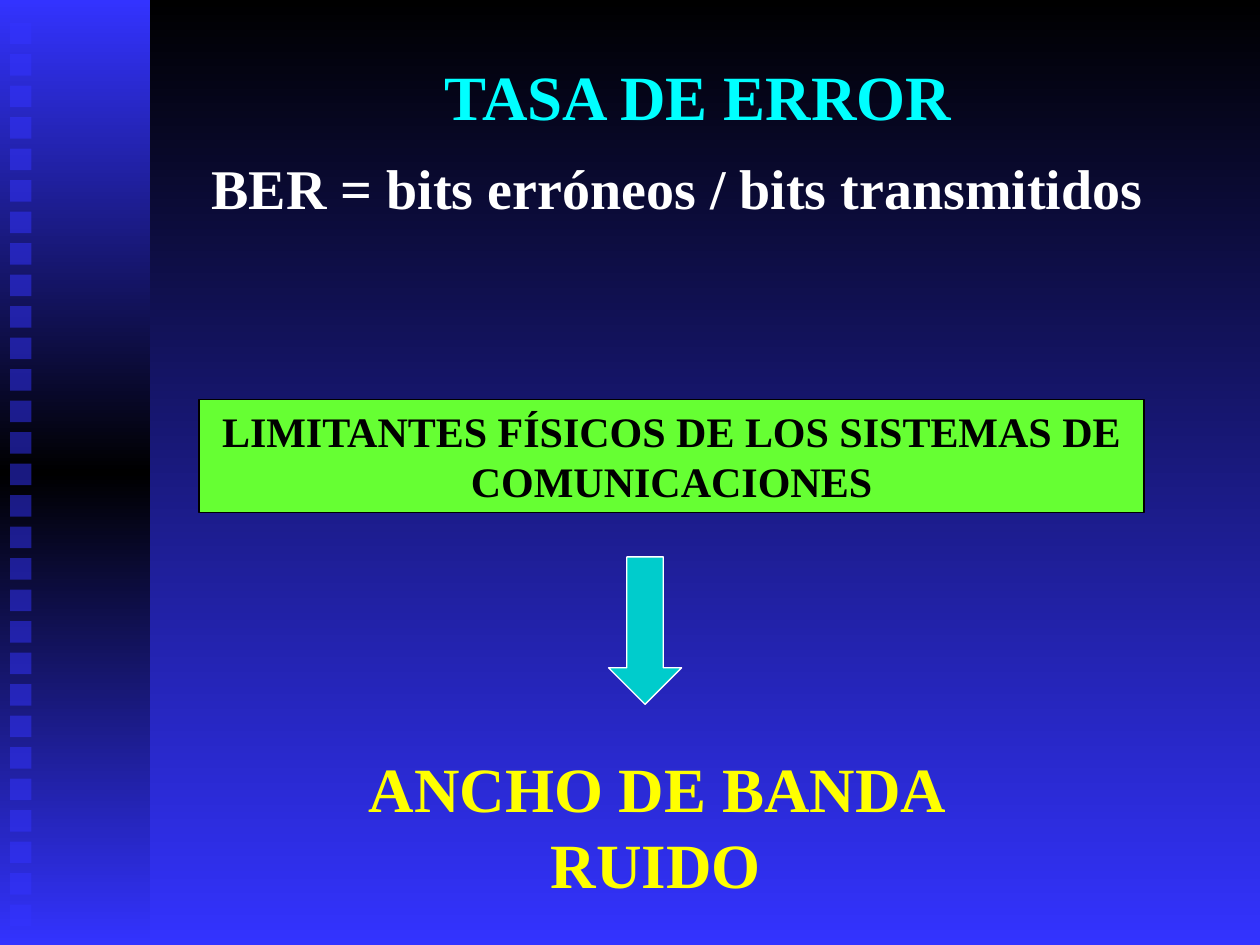
from copy import deepcopy

from lxml.etree import SubElement
from pptx import Presentation
from pptx.dml.color import RGBColor
from pptx.enum.shapes import MSO_SHAPE
from pptx.enum.text import MSO_ANCHOR, MSO_AUTO_SIZE, PP_ALIGN
from pptx.oxml.ns import qn
from pptx.util import Inches, Pt

FONT = "Times New Roman"
BLUE, BLACK, WHITE = "3333FF", "000000", "FFFFFF"
TITLE = ("TASA DE ERROR", 36, "00FFFF", 0)
FORMULA = ("BER = bits erróneos / bits transmitidos", 32, WHITE, 20)
LIMITS = ("LIMITANTES FÍSICOS DE LOS SISTEMAS DE COMUNICACIONES", 24, BLACK, 15)
CAUSES = ("ANCHO DE BANDA RUIDO", 36, "FFFF00", 22.5)
TILE_COUNT, TILE_TOP, TILE_PITCH, TILE_SIZE = 29, 0.18, 0.25, 0.17


def color(value):
    return RGBColor.from_string(value)


def place(shape, left, top, width, height):
    shape.left, shape.top = Inches(left), Inches(top)
    shape.width, shape.height = Inches(width), Inches(height)


def write(shape, content, align=PP_ALIGN.CENTER, anchor=MSO_ANCHOR.TOP):
    text, size, text_color, before = content
    frame = shape.text_frame
    frame.text = text
    frame.word_wrap = True
    frame.auto_size = MSO_AUTO_SIZE.NONE
    frame.vertical_anchor = anchor
    para = frame.paragraphs[0]
    para.alignment = align
    para.space_before = Pt(before)
    font = para.runs[0].font
    font.name, font.size, font.bold = FONT, Pt(size), True
    font.color.rgb = color(text_color)


def add_block(slide, kind, box, fill=None, line=None):
    shape = slide.shapes.add_shape(kind, *map(Inches, box))
    shape.shadow.inherit = False
    if fill:
        shape.fill.solid()
        shape.fill.fore_color.rgb = color(fill)
    if line:
        shape.line.color.rgb = color(line)
        shape.line.width = Pt(0.75)
    else:
        shape.line.fill.background()
    return shape


def shade(fill, start, end):
    fill.gradient()
    fill.gradient_angle = 270
    for stop, value, position in zip(fill.gradient_stops, (start, end), (0, 1)):
        stop.color.rgb = color(value)
        stop.position = position


def add_side_band(slide):
    band = add_block(slide, MSO_SHAPE.RECTANGLE, (0, 0, 1.19, 7.5))
    shade(band.fill, BLUE, BLACK)
    stops = band.element.find(".//" + qn("a:gsLst"))
    stops.append(deepcopy(stops[0]))
    stops[1].set("pos", "50000")
    stops[2].set("pos", "100000")
    for index in range(TILE_COUNT):
        top = TILE_TOP + index * TILE_PITCH
        tile = add_block(slide, MSO_SHAPE.RECTANGLE, (0.08, top, TILE_SIZE, TILE_SIZE), BLUE)
        SubElement(tile.element.find(".//" + qn("a:srgbClr")), qn("a:alpha"), val="50000")


def main():
    """Build the bit error rate slide."""
    deck = Presentation()
    deck.slide_width, deck.slide_height = Inches(10), Inches(7.5)
    slide = deck.slides.add_slide(deck.slide_layouts[1])
    shade(slide.background.fill, BLACK, BLUE)
    add_side_band(slide)

    title, formula = slide.placeholders
    place(title, 3.08, 0.42, 4.92, 0.67)
    write(title, TITLE, anchor=MSO_ANCHOR.MIDDLE)
    place(formula, 1.58, 1.17, 8.08, 0.64)
    write(formula, FORMULA, PP_ALIGN.LEFT)
    properties = formula.text_frame.paragraphs[0]._p.get_or_add_pPr()
    properties.set("marL", "0")
    properties.set("indent", "0")
    SubElement(properties, qn("a:buNone"))

    limits = add_block(slide, MSO_SHAPE.RECTANGLE, (1.58, 3.17, 7.5, 0.9), "66FF33", BLACK)
    write(limits, LIMITS)
    add_block(slide, MSO_SHAPE.DOWN_ARROW, (4.83, 4.42, 0.58, 1.17), "00CCCC", WHITE)
    causes = slide.shapes.add_textbox(*map(Inches, (2.33, 5.9, 5.75, 1.3)))
    write(causes, CAUSES)
    deck.save("out.pptx")


if __name__ == "__main__":
    main()
